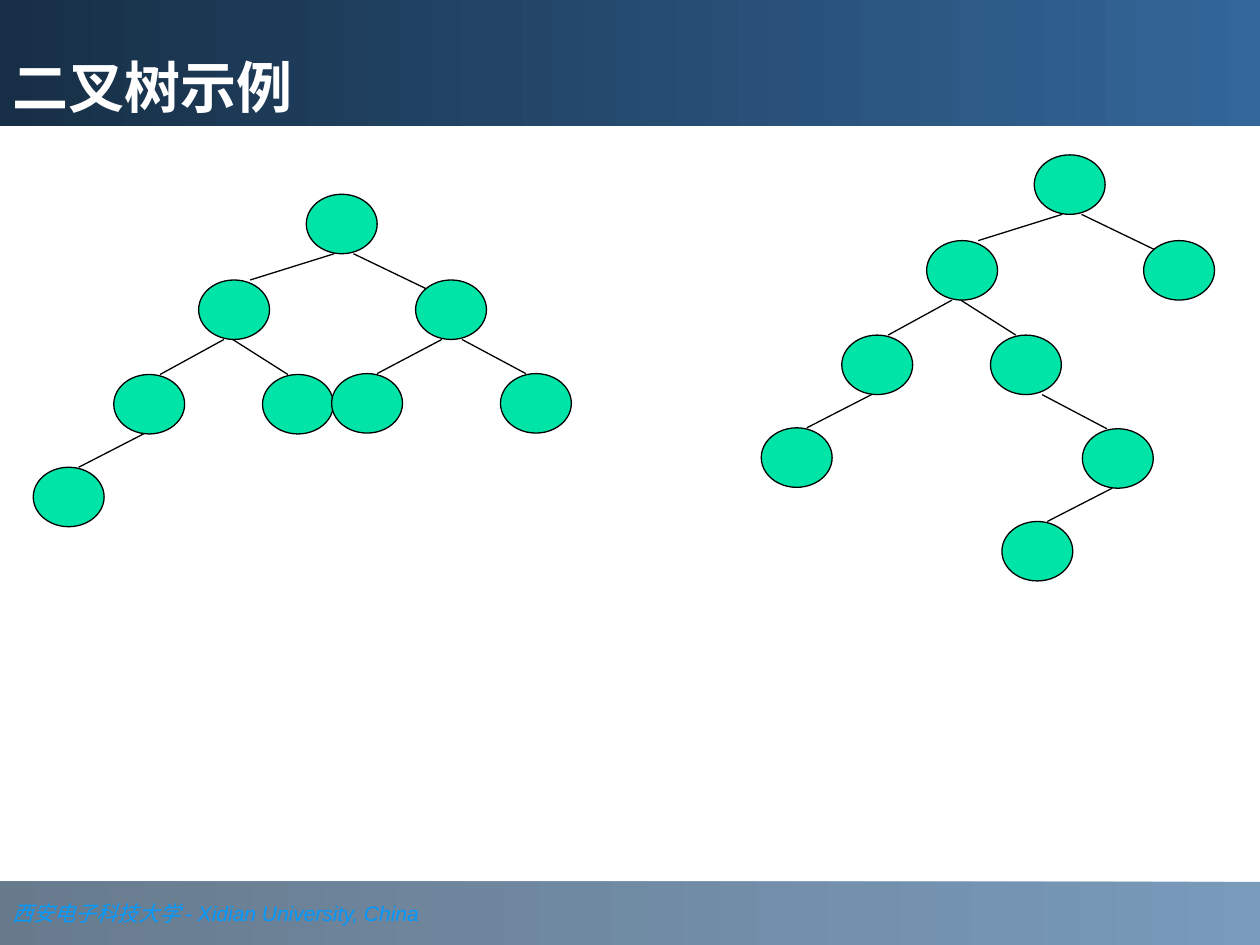
"""Build a slide that shows two example binary trees."""
from dataclasses import dataclass

from lxml import etree
from pptx import Presentation
from pptx.dml.color import RGBColor
from pptx.enum.shapes import MSO_CONNECTOR, MSO_SHAPE
from pptx.enum.text import MSO_ANCHOR, MSO_AUTO_SIZE, PP_ALIGN
from pptx.oxml.ns import qn
from pptx.util import Pt

OVAL, RECT = MSO_SHAPE.OVAL, MSO_SHAPE.RECTANGLE
LINE = MSO_CONNECTOR.STRAIGHT
LEFT = PP_ALIGN.LEFT
LOW, MID = MSO_ANCHOR.BOTTOM, MSO_ANCHOR.MIDDLE
FIXED = MSO_AUTO_SIZE.NONE
TITLE_ONLY = 5

WIDE, HIGH = 720, 540
HEAD, FOOT = 72, 36
NODE_W, NODE_H = 40.5, 34


@dataclass(frozen=True)
class Theme:
    node: str = "00E4A8"
    ink: str = "000000"
    title: str = "FFFFFF"
    foot: str = "0099FF"
    light: str = "336699"
    dark: str = "172F46"
    dim: str = "1B3753"
    title_size: float = 32
    foot_size: float = 12
    line: float = 0.75


@dataclass(frozen=True)
class Node:
    dx: float
    dy: float
    out: float = 0
    into: float = 0
    drop: float = 0
    kids: tuple["Node", ...] = ()


THEME = Theme()


def rgb(code: str) -> RGBColor:
    return RGBColor.from_string(code)


def write(para, text: str, *, font: str, size: float, color: str,
          bold: bool = False, slant: bool = False) -> None:
    run = para.add_run()
    run.text = text
    face = run.font
    face.name, face.size = font, Pt(size)
    face.bold, face.italic = bold, slant
    face.color.rgb = rgb(color)


def shade(shape, start: str, end: str, alpha: int = 100) -> None:
    shape.fill.gradient()
    shape.fill.gradient_angle = 180
    for stop, code in zip(shape.fill.gradient_stops, (start, end)):
        stop.color.rgb = rgb(code)
    if alpha < 100:
        for tint in shape._element.spPr.iter(qn("a:srgbClr")):
            etree.SubElement(tint, qn("a:alpha"), val=str(alpha * 1000))


def place(shape, left: float, top: float, wide: float, high: float) -> None:
    shape.left, shape.top = Pt(left), Pt(top)
    shape.width, shape.height = Pt(wide), Pt(high)


def set_frame(shape, anchor):
    frame = shape.text_frame
    frame.auto_size = FIXED
    frame.word_wrap = True
    frame.vertical_anchor = anchor
    para = frame.paragraphs[0]
    para.alignment = LEFT
    return para


def add_title(slide, text: str) -> None:
    title = slide.shapes.title
    place(title, 0, 0, WIDE, HEAD)
    shade(title, THEME.light, THEME.dark)
    write(set_frame(title, LOW), text, font="Roboto",
          size=THEME.title_size, color=THEME.title, bold=True)


def add_foot(slide, parts: tuple[tuple[str, str], ...]) -> None:
    bar = slide.shapes.add_shape(
        RECT, 0, Pt(HIGH - FOOT), Pt(WIDE), Pt(FOOT))
    bar.shadow.inherit = False
    bar.line.fill.background()
    shade(bar, THEME.light, THEME.dim, alpha=66)
    para = set_frame(bar, MID)
    for text, font in parts:
        write(para, text, font=font, size=THEME.foot_size,
              color=THEME.foot, slant=True)


def ink(line) -> None:
    line.color.rgb = rgb(THEME.ink)
    line.width = Pt(THEME.line)


def add_edge(slide, x1: float, y1: float, x2: float, y2: float) -> None:
    edge = slide.shapes.add_connector(LINE, Pt(x1), Pt(y1), Pt(x2), Pt(y2))
    ink(edge.line)
    etree.SubElement(edge._element.spPr, qn("a:effectLst"))


def add_tree(slide, node: Node, left: float = 0, top: float = 0) -> None:
    x, y = left + node.dx, top + node.dy
    oval = slide.shapes.add_shape(
        OVAL, Pt(x), Pt(y), Pt(NODE_W), Pt(NODE_H))
    oval.shadow.inherit = False
    oval.fill.solid()
    oval.fill.fore_color.rgb = rgb(THEME.node)
    ink(oval.line)
    for kid in node.kids:
        add_edge(slide, x + kid.out, y + NODE_H,
                 x + kid.dx + kid.into, y + kid.dy + kid.drop)
        add_tree(slide, kid, x, y)


def fork(x: float, y: float, left: tuple[Node, ...],
         right: tuple[Node, ...] = ()) -> Node:
    return Node(x, y, kids=(
        Node(-61.5, 49, 16, 29.5, kids=left),
        Node(62.5, 49, 27, 6, 5, kids=right),
    ))


LEAF = Node(-46, 53, 17, 26)
OUTER = Node(-48.5, 54, 14.5, 26.5, kids=(LEAF,))
INNER = Node(36.5, 54, 19.5, 14.5)
TAIL = Node(52.5, 53.5, 29.5, 14, kids=(LEAF,))
DEEP = Node(36.5, 54, 19.5, 14.5, kids=(TAIL,))
PAIR = (Node(-48, 53.5, 15, 26), Node(48.5, 53.5, 26.5, 14.5))
TREES = (
    fork(175, 111, (OUTER, INNER), PAIR),
    fork(591, 88.5, (OUTER, DEEP)),
)


def main() -> None:
    deck = Presentation()
    deck.slide_width, deck.slide_height = Pt(WIDE), Pt(HIGH)
    slide = deck.slides.add_slide(deck.slide_layouts[TITLE_ONLY])
    add_foot(slide, (
        ("西安电子科技大学 ", "Times New Roman"),
        ("- Xidian University, China", "Arial"),
    ))
    add_title(slide, "二叉树示例")
    for tree in TREES:
        add_tree(slide, tree)
    deck.save("out.pptx")


if __name__ == "__main__":
    main()
